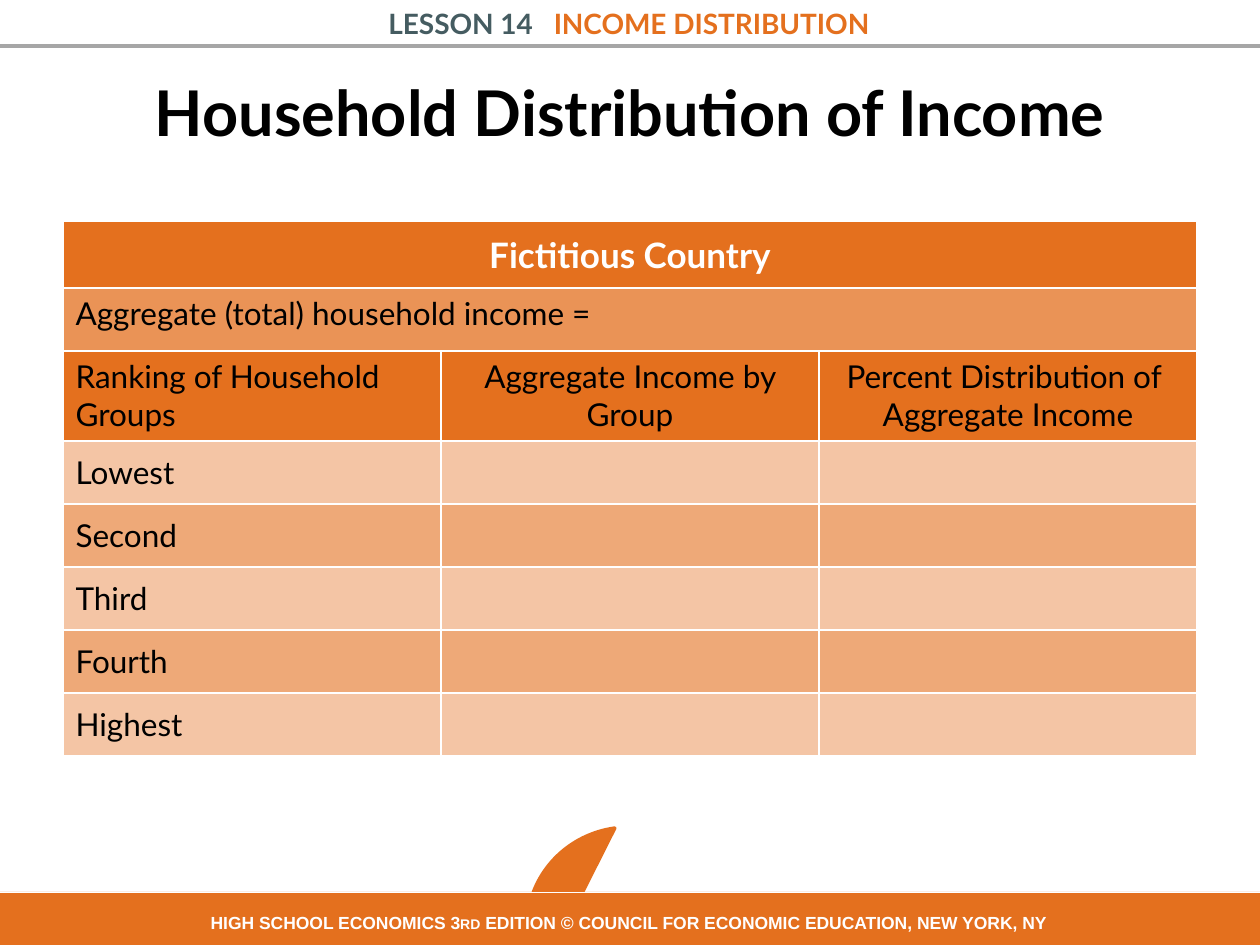
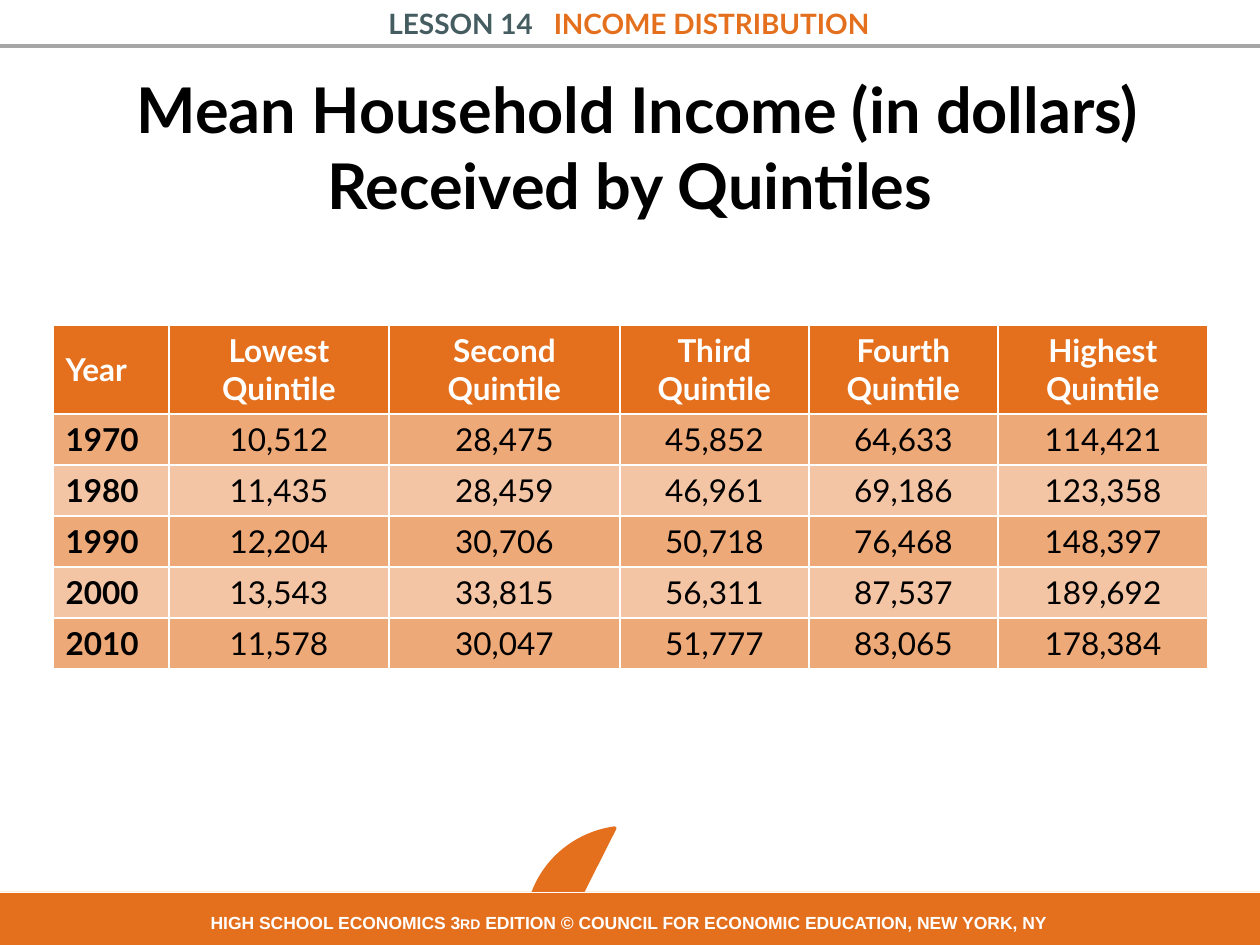
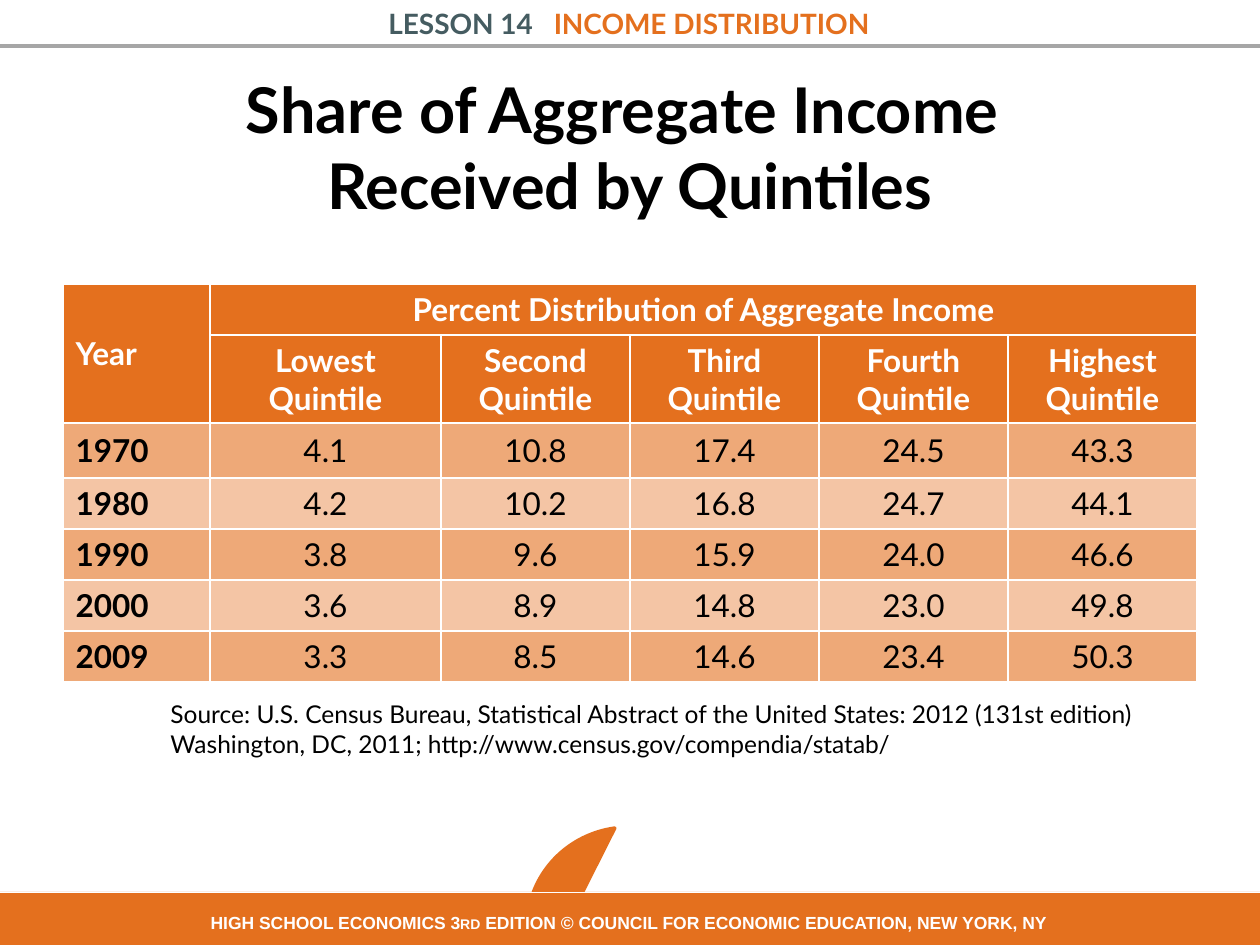
from dataclasses import dataclass
from lxml.etree import SubElement
from pptx import Presentation
from pptx.dml.color import RGBColor
from pptx.enum.shapes import MSO_CONNECTOR, MSO_SHAPE
from pptx.enum.text import MSO_ANCHOR, PP_ALIGN
from pptx.oxml.ns import qn
from pptx.util import Emu, Pt


@dataclass(frozen=True)
class Theme:
    orange: str = "E4701E"
    slate: str = "455C61"
    gray: str = "A6A6A6"
    white: str = "FFFFFF"
    black: str = "000000"
    head: str = "Lato"
    foot: str = "Arial"
    title: int = 36
    cap: int = 20
    cell: int = 18
    band: int = 16
    note: int = 14
    small: int = 10
    tiny: int = 8


T = Theme()
MID, TOP = MSO_ANCHOR.MIDDLE, MSO_ANCHOR.TOP
LEFT, MEAN = PP_ALIGN.LEFT, PP_ALIGN.CENTER


def px(*sizes):
    """Turn lengths at 126 px to the inch into EMU."""
    return [Emu(round(size * 914400 / 126)) for size in sizes]


def write(frame, paras, font, align=MEAN, anchor=TOP):
    """Fill a frame with paragraphs of (text, size, colour, bold[, spacing]) runs."""
    frame.word_wrap = True
    frame.vertical_anchor = anchor
    for i, runs in enumerate(paras):
        para = frame.paragraphs[0] if i == 0 else frame.add_paragraph()
        para.alignment = align
        for text, size, color, bold, *gap in runs:
            for j, line in enumerate(text.split("\v")):
                if j:
                    para.add_line_break()
                run = para.add_run()
                run.text = line
                run.font.name = font
                run.font.size = Pt(size)
                run.font.bold = bold
                run.font.color.rgb = RGBColor.from_string(color)
                if gap:
                    run.font._element.set("spc", str(gap[0]))


# Row style: size, colour, first cell bold, other cells bold, first align, anchor
STYLES = {
    "cap": (T.cap, T.white, True, True, MEAN, MID),
    "head": (T.cell, T.white, True, True, LEFT, MID),
    "top": (T.cell, T.black, False, False, LEFT, TOP),
    "row": (T.cell, T.black, False, False, LEFT, MID),
    "year": (T.cell, T.black, True, False, LEFT, MID),
}
GROUPS = ["Lowest", "Second", "Third", "Fourth", "Highest"]
QUINTS = [f"{group} Quintile" for group in GROUPS]
MEANS = [
    "1970 10,512 28,475 45,852 64,633 114,421",
    "1980 11,435 28,459 46,961 69,186 123,358",
    "1990 12,204 30,706 50,718 76,468 148,397",
    "2000 13,543 33,815 56,311 87,537 189,692",
    "2010 11,578 30,047 51,777 83,065 178,384",
]
SHARES = [
    "1970 4.1 10.8 17.4 24.5 43.3",
    "1980 4.2 10.2 16.8 24.7 44.1",
    "1990 3.8 9.6 15.9 24.0 46.6",
    "2000 3.6 8.9 14.8 23.0 49.8",
    "2009 3.3 8.5 14.6 23.4 50.3",
]

# Each row: height, fill opacity in percent, style, cells
# Each span: first row, first column, last row, last column
PAGES = [
    dict(
        title="Household Distribution of Income", box=(63, 48, 1134, 126),
        at=(63, 221), cols=[378] * 3,
        spans=[(0, 0, 0, 2), (1, 0, 1, 2)],
        rows=[
            (67, 100, "cap", ["Fictitious Country", "", ""]),
            (63, 75, "top", ["Aggregate (total) household income =", "", ""]),
            (90, 100, "top", ["Ranking of Household Groups",
                              "Aggregate Income by Group",
                              "Percent Distribution of \nAggregate Income"]),
        ] + [(63, 60 if i % 2 else 40, "row", [group, "", ""])
             for i, group in enumerate(GROUPS)],
    ),
    dict(
        title=" Mean Household Income (in dollars) Received by Quintiles",
        box=(63, 67, 1134, 158),
        at=(53, 325), cols=[116, 220, 231, 189, 189, 210], spans=[],
        rows=[(89, 100, "head", ["Year"] + QUINTS)]
        + [(51, 40 if i % 2 else 60, "year", line.split())
           for i, line in enumerate(MEANS)],
    ),
    dict(
        title="Share of Aggregate Income \vReceived by Quintiles",
        box=(63, 67, 1134, 158),
        at=(63, 284), cols=[147, 231] + [189] * 4,
        spans=[(0, 0, 1, 0), (0, 1, 0, 5)],
        rows=[
            (51, 100, "head", ["Year", "Percent Distribution of Aggregate Income",
                               "", "", "", ""]),
            (88, 100, "head", [""] + QUINTS),
        ] + [(51 if i else 55, 40 if i % 2 else 60, "year", line.split())
             for i, line in enumerate(SHARES)],
        note="Source: U.S. Census Bureau, Statistical Abstract of the United States: "
             "2012 (131st edition) Washington, DC, 2011; "
             "http://www.census.gov/compendia/statab/",
    ),
]

deck = Presentation()
deck.slide_width, deck.slide_height = px(1260, 945)

for num, page in enumerate(PAGES, 2):
    slide = deck.slides.add_slide(deck.slide_layouts[6])
    shapes = slide.shapes

    # Lesson band
    rule = shapes.add_connector(MSO_CONNECTOR.STRAIGHT, *px(0, 46, 1260, 46))
    rule.line.color.rgb = RGBColor.from_string(T.gray)
    rule.line.width = Pt(2)
    SubElement(rule._element.spPr, qn("a:effectLst"))
    band = shapes.add_textbox(*px(120, 0, 1018, 46))
    write(band.text_frame, [[("LESSON 14", T.band, T.slate, True),
                             (" ", T.band, T.slate, True, 800),
                             ("INCOME DISTRIBUTION", T.band, T.orange, True)]], T.head)

    # Page badge and footer
    for kind, area, edge, width in [
        (MSO_SHAPE.CHORD, (529, 825, 204, 209), T.orange, 2),
        (MSO_SHAPE.RECTANGLE, (-5, 892, 1268, 53), T.white, 0.25),
    ]:
        shape = shapes.add_shape(kind, *px(*area))
        shape.shadow.inherit = False
        shape.fill.solid()
        shape.fill.fore_color.rgb = RGBColor.from_string(T.orange)
        shape.line.color.rgb = RGBColor.from_string(edge)
        shape.line.width = Pt(width)
        if kind == MSO_SHAPE.CHORD:
            shape.rotation = 112.5
            shape.adjustments[0] = 23.98
            shape.adjustments[1] = 89.05
    badge = shapes.add_textbox(*px(567, 847, 126, 34))
    write(badge.text_frame, [[(f"14-{num}", T.small, T.white, True)]], T.foot)
    foot = shapes.add_textbox(*px(161, 906, 935, 34))
    write(foot.text_frame, [[
        ("HIGH SCHOOL ECONOMICS 3", T.small, T.white, True),
        ("RD", T.tiny, T.white, True),
        (" EDITION © COUNCIL FOR ECONOMIC EDUCATION, NEW YORK, NY",
         T.small, T.white, True)]], T.foot)

    title = shapes.add_textbox(*px(*page["box"]))
    write(title.text_frame, [[(page["title"], T.title, T.black, True)]],
          T.head, anchor=MID)

    # Income table
    rows, cols = page["rows"], page["cols"]
    size = sum(cols), sum(row[0] for row in rows)
    table = shapes.add_table(len(rows), len(cols), *px(*page["at"], *size)).table
    table.first_row = table.horz_banding = False
    for col, width in zip(table.columns, px(*cols)):
        col.width = width
    for r, (high, tint, style, texts) in enumerate(rows):
        table.rows[r].height = px(high)[0]
        points, color, first, rest, side, anchor = STYLES[style]
        for c, text in enumerate(texts):
            cell = table.cell(r, c)
            cell.vertical_anchor = anchor
            cell.fill.solid()
            cell.fill.fore_color.rgb = RGBColor.from_string(T.orange)
            props = cell._tc.get_or_add_tcPr()
            if tint < 100:
                SubElement(props.find(".//" + qn("a:srgbClr")), qn("a:alpha"),
                           val=str(tint * 1000))
            for i, edge in enumerate(["lnL", "lnR", "lnT", "lnB"]):
                line = SubElement(props, qn(f"a:{edge}"), w=str(Pt(1)))
                paint = SubElement(line, qn("a:solidFill"))
                SubElement(paint, qn("a:srgbClr"), val=T.white)
                props.insert(i, line)
            if text:
                bold = rest if c else first
                write(cell.text_frame,
                      [[(part, points, color, bold)] for part in text.split("\n")],
                      T.head, MEAN if c else side, anchor)
    for top, left, low, right in page["spans"]:
        table.cell(top, left).merge(table.cell(low, right))

    if "note" in page:
        note = shapes.add_textbox(*px(158, 693, 1029, 72))
        write(note.text_frame, [[(page["note"], T.note, T.black, False)]], T.head, LEFT)

deck.save("out.pptx")
